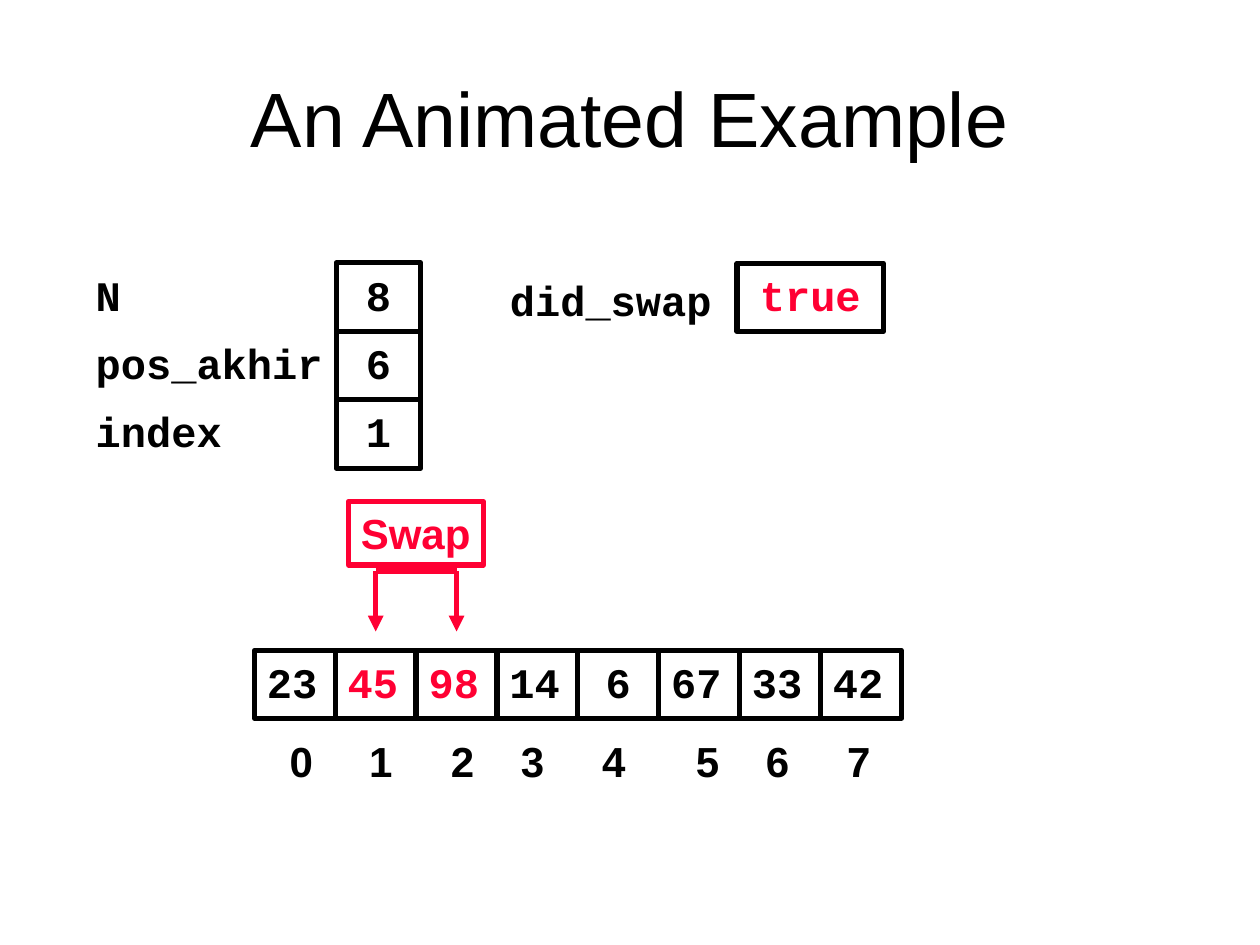
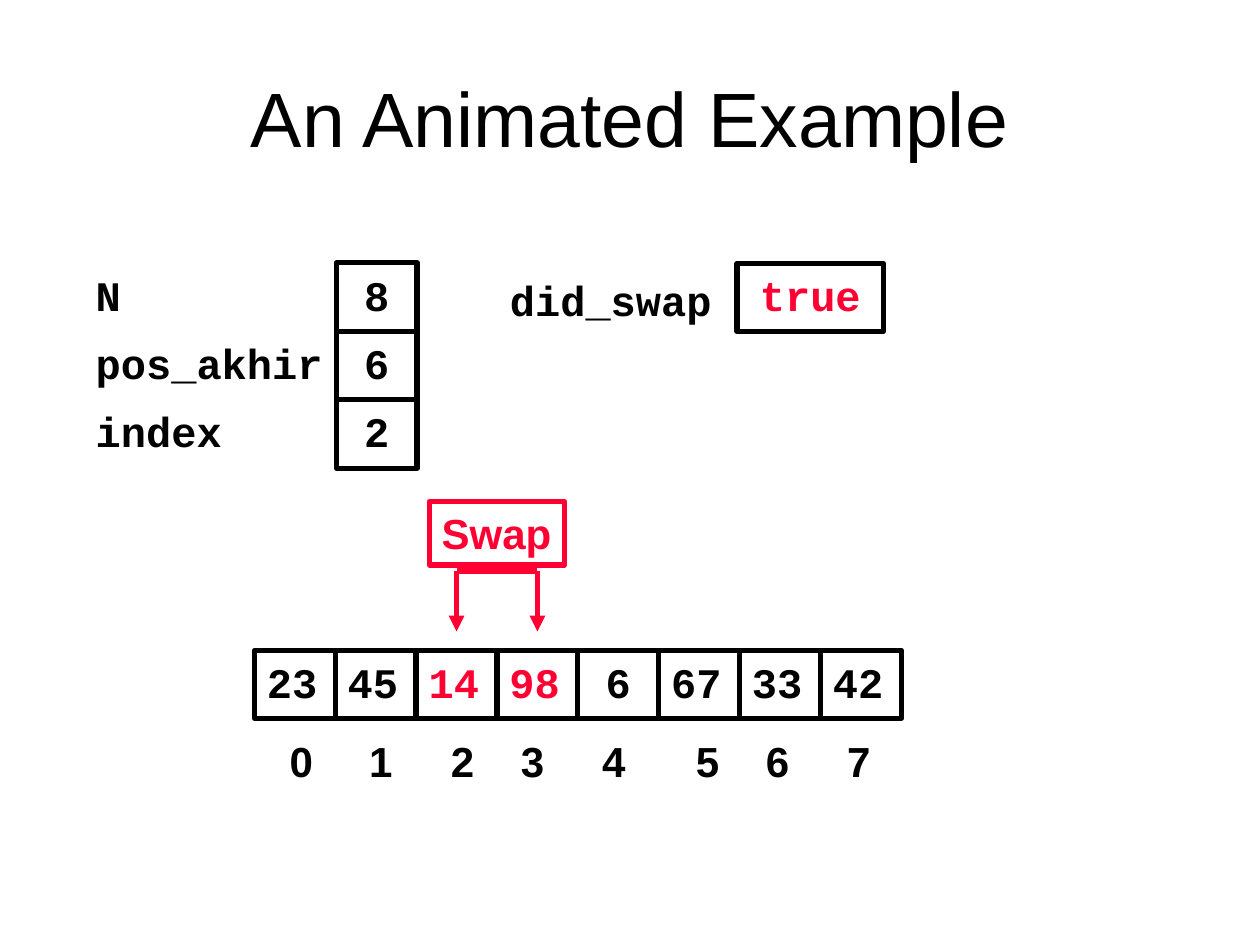
from lxml.etree import SubElement
from pptx import Presentation
from pptx.dml.color import RGBColor
from pptx.enum.shapes import MSO_CONNECTOR, MSO_SHAPE
from pptx.enum.text import MSO_ANCHOR, MSO_AUTO_SIZE, PP_ALIGN
from pptx.oxml.ns import qn
from pptx.util import Cm, Pt

COLORS = {"ink": "000000", "active": "FF0033"}
CODE_FONT, TEXT_FONT = "Courier New", "Arial"

ARRAY_X, ARRAY_Y = 5.13, 13.11
CELL_W, CELL_H = 1.63, 1.37
VARS_Y, VARS_PITCH = 5.3, 1.38
LABEL_H = 1.28
ARROW_TOP, ARROW_END = 11.51, 12.73
INDEX_TABS = [1.6, 3.25, 4.66, 6.3, 8.19, 9.6, 11.24]

STEPS = [
    {"index": 1, "array": [23, 45, 98, 14, 6, 67, 33, 42], "box_w": 1.7},
    {"index": 2, "array": [23, 45, 14, 98, 6, 67, 33, 42], "box_w": 1.63},
]


def add_text(s, text, x, y, w, h, font=CODE_FONT, size=24, bold=True, color="ink",
             align=PP_ALIGN.LEFT, anchor=MSO_ANCHOR.TOP, wrap=False, border=None):
    """Place text at a position in cm, inside an outlined box if border names a colour."""
    box = Cm(x), Cm(y), Cm(w), Cm(h)
    if border:
        sp = s.shapes.add_shape(MSO_SHAPE.RECTANGLE, *box)
        sp.shadow.inherit = False
        sp.fill.background()
        sp.line.color.rgb = RGBColor.from_string(COLORS[border])
        sp.line.width = Pt(3)
    else:
        sp = s.shapes.add_textbox(*box)
    tf = sp.text_frame
    tf.word_wrap = wrap
    tf.auto_size = MSO_AUTO_SIZE.NONE if border or wrap else MSO_AUTO_SIZE.SHAPE_TO_FIT_TEXT
    tf.vertical_anchor = anchor
    p = tf.paragraphs[0]
    p.alignment = align
    r = p.add_run()
    r.text = text
    r.font.name, r.font.size, r.font.bold = font, Pt(size), bold
    r.font.color.rgb = RGBColor.from_string(COLORS[color])
    return sp


def add_line(s, x1, y1, x2, y2, arrow=False):
    c = s.shapes.add_connector(MSO_CONNECTOR.STRAIGHT, Cm(x1), Cm(y1), Cm(x2), Cm(y2))
    c.line.color.rgb = RGBColor.from_string(COLORS["active"])
    c.line.width = Pt(3)
    if arrow:
        SubElement(c.line._get_or_add_ln(), qn("a:tailEnd"), type="triangle")
    SubElement(c._element.spPr, qn("a:effectLst"))


prs = Presentation()
prs.slide_width, prs.slide_height = Cm(25.4), Cm(19.05)

for step in STEPS:
    s = prs.slides.add_slide(prs.slide_layouts[6])
    add_text(s, "An Animated Example", 1.27, 0.76, 22.86, 3.18, font=TEXT_FONT, size=44,
             bold=False, align=PP_ALIGN.CENTER, anchor=MSO_ANCHOR.MIDDLE, wrap=True)

    # Array cells, with the pair being swapped highlighted
    first = step["index"]
    pair = (first, first + 1)
    for i, value in enumerate(step["array"]):
        add_text(s, str(value), ARRAY_X + i * CELL_W, ARRAY_Y, CELL_W, CELL_H, border="ink",
                 color="active" if i in pair else "ink",
                 align=PP_ALIGN.CENTER if value < 10 else PP_ALIGN.LEFT)

    # Variables
    variables = [("N", 8, 3.05), ("pos_akhir", 6, 5.08), ("index", first, 3.05)]
    for i, (name, value, label_w) in enumerate(variables):
        y = VARS_Y + i * VARS_PITCH
        add_text(s, name, 1.68, y, label_w, LABEL_H)
        add_text(s, str(value), 6.78, y, step["box_w"], VARS_PITCH,
                 align=PP_ALIGN.CENTER, border="ink")
    add_text(s, "did_swap", 10.03, 5.41, 6.6, LABEL_H)
    add_text(s, "true", 14.86, 5.31, 2.95, CELL_H, color="active",
             align=PP_ALIGN.CENTER, border="ink")

    # Swap marker pointing at the pair
    left, right = [ARRAY_X + (i + 0.5) * CELL_W for i in pair]
    for x in (left, right):
        add_line(s, x, ARROW_TOP, x, ARROW_END, arrow=True)
    add_line(s, left, ARROW_TOP, right, ARROW_TOP)
    add_text(s, "Swap", left - 0.55, 10.11, 2.72, LABEL_H, font=TEXT_FONT,
             color="active", border="active")

    # Array indexes
    sp = add_text(s, "\t".join(str(i) for i in range(8)), 5.59, 14.71, 12.4, LABEL_H,
                  font=TEXT_FONT, wrap=True)
    tabs = SubElement(sp.text_frame.paragraphs[0]._p.get_or_add_pPr(), qn("a:tabLst"))
    for pos in INDEX_TABS:
        SubElement(tabs, qn("a:tab"), pos=str(Cm(pos)), algn="l")

prs.save("out.pptx")
